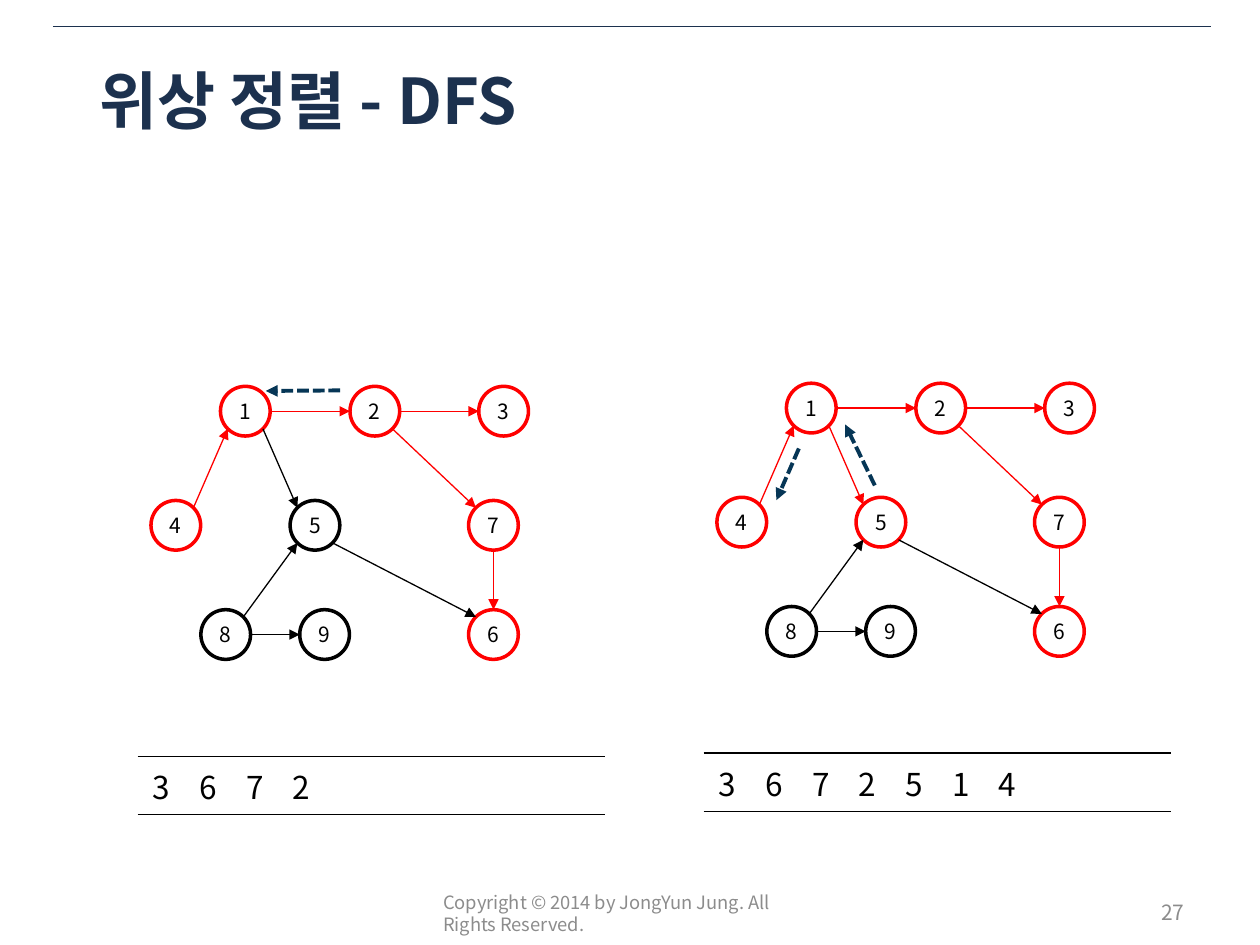
import math

import pptx
import pptx.dml.color
import pptx.enum.dml
import pptx.enum.shapes
import pptx.enum.text
import pptx.oxml.ns
import pptx.util
from lxml import etree

Pt = pptx.util.Pt
RGBColor = pptx.dml.color.RGBColor
PP_ALIGN = pptx.enum.text.PP_ALIGN
MIDDLE = pptx.enum.text.MSO_ANCHOR.MIDDLE
qn = pptx.oxml.ns.qn

FONT = "Noto Sans CJK KR"
NAVY = RGBColor(0x1C, 0x31, 0x4E)
GRAY = RGBColor(0x8C, 0x8C, 0x8C)
BLACK = RGBColor(0, 0, 0)
WHITE = RGBColor(255, 255, 255)
RED = RGBColor(255, 0, 0)
TEAL = RGBColor(0x06, 0x36, 0x56)

TITLE = "위상 정렬 - DFS"
FOOTER = "Copyright © 2014 by JongYun Jung. All Rights Reserved."
PAGE = "27"

# Node centres in the first panel
NODES = {
    1: (140.2, 235), 2: (214.2, 235), 3: (287.8, 235),
    4: (100.5, 300.2), 5: (180, 300.2), 7: (282, 300.2),
    8: (129, 362.6), 9: (185.5, 362.6), 6: (282, 362.6),
}
TREE_EDGES = [(1, 2), (2, 3), (4, 1), (1, 5), (2, 7), (7, 6)]
OTHER_EDGES = [(8, 5), (8, 9), (5, 6)]
DIAMETER = 28.4

PANELS = [
    {"offset": (0, 0), "visited": {1, 2, 3, 4, 6, 7}, "output": "3672",
     "backtracks": [((194.4, 223.1), (151.9, 223.4))]},
    {"offset": (323.4, -1.8), "visited": {1, 2, 3, 4, 5, 6, 7}, "output": "3672514",
     "backtracks": [((499.9, 277.4), (483, 242.6)), ((456.5, 256.3), (443.7, 285.8))]},
]
TABLE_LEFT, TABLE_TOP = 79.1, 398.9
COLUMNS, COLUMN_WIDTH, ROW_HEIGHT = 10, 26.65, 29.2


def style_paragraph(paragraph, size, color, align=PP_ALIGN.LEFT, bold=False):
    paragraph.alignment = align
    for run in paragraph.runs:
        run.font.size = Pt(size)
        run.font.bold = bold
        run.font.name = FONT
        run.font.color.rgb = color
        etree.SubElement(run.font._element, qn("a:ea"), typeface=FONT)


def add_line(shapes, start, end, color, width, arrow=True, dashed=False):
    line = shapes.add_connector(
        pptx.enum.shapes.MSO_CONNECTOR.STRAIGHT, *(Pt(v) for v in (*start, *end)))
    line.line.color.rgb = color
    line.line.width = Pt(width)
    if dashed:
        line.line.dash_style = pptx.enum.dml.MSO_LINE.SQUARE_DOT
    if arrow:
        etree.SubElement(line.line._get_or_add_ln(), qn("a:tailEnd"), type="triangle")
    etree.SubElement(line._element.spPr, qn("a:effectLst"))


def add_label(slide, text, box, size, align):
    label = slide.shapes.add_textbox(*(Pt(v) for v in box))
    frame = label.text_frame
    frame.word_wrap = True
    frame.vertical_anchor = MIDDLE
    frame.text = text
    style_paragraph(frame.paragraphs[0], size, GRAY, align)


def add_node(shapes, number, center, color):
    x, y = (v - DIAMETER / 2 for v in center)
    node = shapes.add_shape(pptx.enum.shapes.MSO_SHAPE.OVAL,
                            Pt(x), Pt(y), Pt(DIAMETER), Pt(DIAMETER))
    node.shadow.inherit = False
    node.fill.background()
    node.line.color.rgb = color
    node.line.width = Pt(2)
    frame = node.text_frame
    frame.margin_left = frame.margin_right = frame.margin_top = frame.margin_bottom = 0
    frame.vertical_anchor = MIDDLE
    frame.text = str(number)
    style_paragraph(frame.paragraphs[0], 12, BLACK, PP_ALIGN.CENTER)


def edge_ends(start, end):
    """Return the points where an edge meets the two circles, at steps of 45 degrees."""
    signs = [(b > a) - (b < a) for a, b in zip(start, end)]
    reach = DIAMETER / 2 / math.hypot(*signs)
    return ([a + s * reach for a, s in zip(start, signs)],
            [b - s * reach for b, s in zip(end, signs)])


def add_graph(slide, panel):
    group = slide.shapes.add_group_shape()
    dx, dy = panel["offset"]
    visited = panel["visited"]
    centers = {number: (x + dx, y + dy) for number, (x, y) in NODES.items()}
    for number, center in centers.items():
        add_node(group.shapes, number, center, RED if number in visited else BLACK)
    for edge in TREE_EDGES + OTHER_EDGES:
        walked = edge in TREE_EDGES and visited.issuperset(edge)
        start, end = edge_ends(*(centers[number] for number in edge))
        add_line(group.shapes, start, end, RED if walked else BLACK, 0.75)
    for start, end in panel["backtracks"]:
        add_line(slide.shapes, start, end, TEAL, 2.25, dashed=True)


def set_borders(cell, borders):
    properties = cell._tc.get_or_add_tcPr()
    for side, color in borders.items():
        border = etree.SubElement(properties, qn(f"a:ln{side}"), w=str(Pt(1)))
        fill = etree.SubElement(border, qn("a:solidFill"))
        etree.SubElement(fill, qn("a:srgbClr"), val=str(color))


def add_output_table(slide, panel):
    dx, dy = panel["offset"]
    table = slide.shapes.add_table(
        2, COLUMNS, Pt(TABLE_LEFT + dx), Pt(TABLE_TOP + dy),
        Pt(COLUMNS * COLUMN_WIDTH), Pt(2 * ROW_HEIGHT)).table
    table.first_row = table.horz_banding = False
    for column in table.columns:
        column.width = Pt(COLUMN_WIDTH)
    for row, text in enumerate(("", panel["output"])):
        table.rows[row].height = Pt(ROW_HEIGHT)
        for index, character in enumerate(text.ljust(COLUMNS)):
            cell = table.cell(row, index)
            set_borders(cell, {"L": WHITE, "R": WHITE,
                               "T": BLACK if row else WHITE, "B": BLACK})
            cell.fill.background()
            paragraph = cell.text_frame.paragraphs[0]
            paragraph.text = character.strip()
            style_paragraph(paragraph, 18, BLACK, PP_ALIGN.CENTER)
            if not paragraph.runs:
                # Empty cells keep the line height of the filled ones
                ending = etree.SubElement(paragraph._p, qn("a:endParaRPr"), sz="1800")
                for script in ("latin", "ea"):
                    etree.SubElement(ending, qn(f"a:{script}"), typeface=FONT)


def main():
    presentation = pptx.Presentation()
    presentation.slide_width, presentation.slide_height = Pt(720), Pt(540)
    slide = presentation.slides.add_slide(presentation.slide_layouts[5])
    add_line(slide.shapes, (30.3, 15.1), (692, 15.1), NAVY, 0.25, arrow=False)

    title = slide.shapes.title
    title.left, title.top, title.width, title.height = (
        Pt(v) for v in (49.7, 28.8, 620.6, 56.2))
    title.text_frame.text = TITLE
    title.text_frame.vertical_anchor = MIDDLE
    style_paragraph(title.text_frame.paragraphs[0], 36, NAVY, bold=True)

    for panel in PANELS:
        add_output_table(slide, panel)
        add_graph(slide, panel)
    add_label(slide, FOOTER, (246.2, 507.6, 228.2, 28.8), 10.5, PP_ALIGN.LEFT)
    add_label(slide, PAGE, (516.2, 506.9, 167.8, 28.8), 12, PP_ALIGN.RIGHT)
    presentation.save("out.pptx")


if __name__ == "__main__":
    main()
